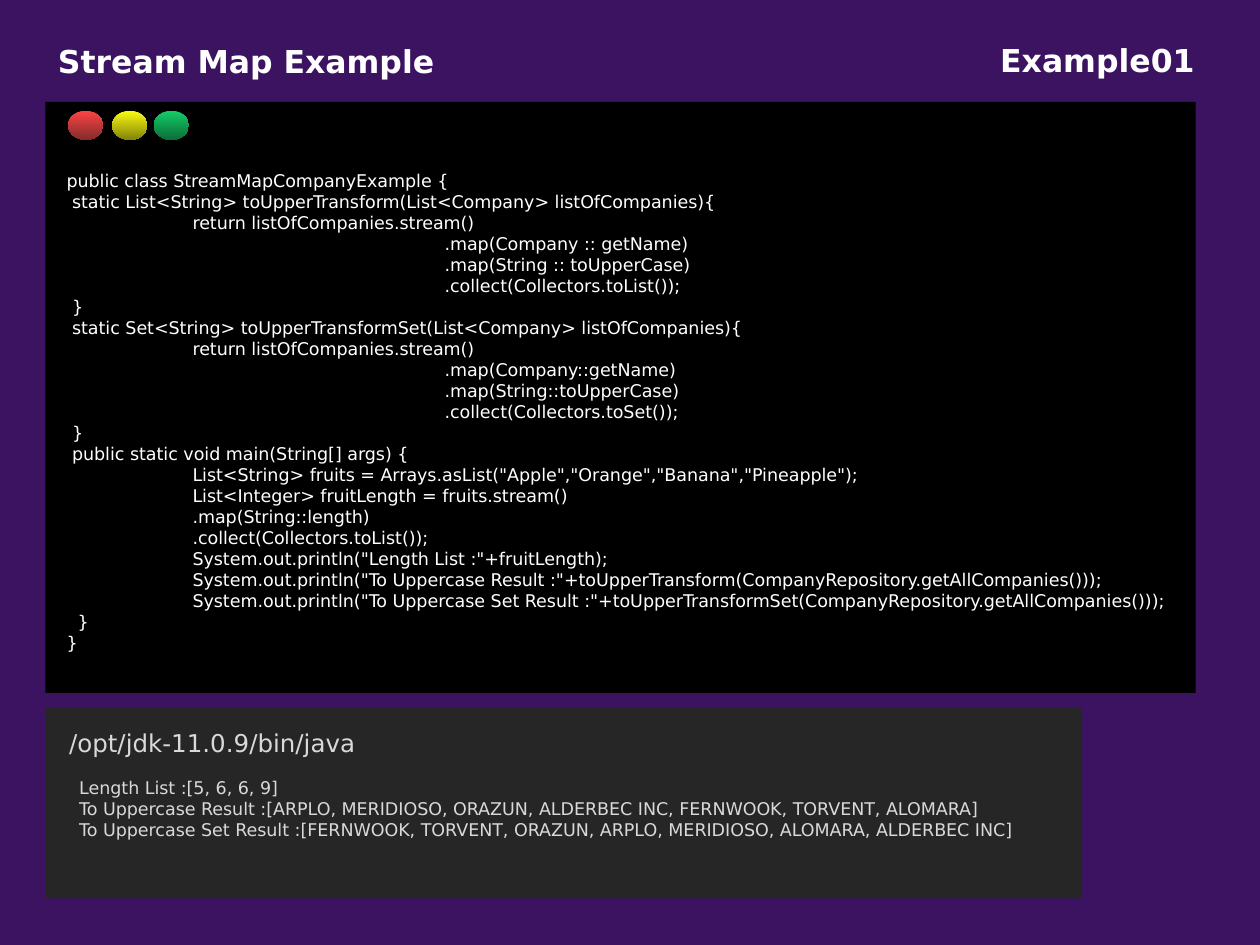
from dataclasses import dataclass

import pptx
import pptx.dml.color
import pptx.enum.shapes
import pptx.enum.text
import pptx.util

FONT = "DejaVu Sans"
WHITE, GREY = "FFFFFF", "D9D9D9"
SHAPE = pptx.enum.shapes.MSO_SHAPE
ALIGN = pptx.enum.text.PP_ALIGN
TAB = pptx.util.Inches(1)

prs = pptx.Presentation()
prs.slide_width, prs.slide_height = pptx.util.Inches(10), pptx.util.Inches(7.5)


@dataclass
class Box:
    """Place and size in percent of the slide's width and height."""
    x: float
    y: float
    w: float
    h: float

    def emu(self) -> tuple[int, ...]:
        shares = (self.x, self.y, self.w, self.h)
        sides = (prs.slide_width, prs.slide_height) * 2
        return tuple(round(side * share / 100) for share, side in zip(shares, sides))


@dataclass
class WindowButton:
    x: float
    top_color: str
    bottom_color: str


@dataclass
class Line:
    text: str
    tabs: int = 0


def rgb(value: str) -> pptx.dml.color.RGBColor:
    return pptx.dml.color.RGBColor.from_string(value)


def add_plain(shapes, kind, box: Box):
    sp = shapes.add_shape(kind, *box.emu())
    sp.shadow.inherit = False
    sp.line.fill.background()
    return sp


def add_panel(shapes, box: Box, color: str) -> None:
    sp = add_plain(shapes, SHAPE.RECTANGLE, box)
    sp.fill.solid()
    sp.fill.fore_color.rgb = rgb(color)


def add_button(shapes, button: WindowButton) -> None:
    sp = add_plain(shapes, SHAPE.OVAL, Box(button.x, 11.73, 2.8, 3.07))
    sp.fill.gradient()
    sp.fill.gradient_angle = 270
    for stop, color in zip(sp.fill.gradient_stops, (button.top_color, button.bottom_color)):
        stop.color.rgb = rgb(color)


def write(sp, lines: list[Line], size: int, color: str, bold=False, wrap=True,
          align=ALIGN.LEFT) -> None:
    tf = sp.text_frame
    frame_format = {
        "word_wrap": wrap,
        "auto_size": pptx.enum.text.MSO_AUTO_SIZE.SHAPE_TO_FIT_TEXT,
        "vertical_anchor": pptx.enum.text.MSO_ANCHOR.TOP,
    }
    for name, value in frame_format.items():
        setattr(tf, name, value)
    for i, line in enumerate(lines):
        p = tf.add_paragraph() if i else tf.paragraphs[0]
        p.alignment = align
        if line.tabs:
            p._p.get_or_add_pPr().set("marL", str(line.tabs * TAB))
        r = p.add_run()
        r.text = line.text
        font_format = {"name": FONT, "size": pptx.util.Pt(size), "bold": bold}
        for name, value in font_format.items():
            setattr(r.font, name, value)
        r.font.color.rgb = rgb(color)


def add_text(shapes, box: Box, lines: list[Line], size: int, color: str, **options) -> None:
    write(shapes.add_textbox(*box.emu()), lines, size, color, **options)


BUTTONS = [
    WindowButton(5.4, "FE4444", "832B2B"),
    WindowButton(8.9, "FBFB11", "838309"),
    WindowButton(12.2, "14CD68", "0B6E38"),
]
CODE = [
    Line("public class StreamMapCompanyExample {"),
    Line(" static List<String> toUpperTransform(List<Company> listOfCompanies){"),
    Line("return listOfCompanies.stream()", 1),
    Line(".map(Company :: getName)", 3),
    Line(".map(String :: toUpperCase)", 3),
    Line(".collect(Collectors.toList());", 3),
    Line(" }"),
    Line(" static Set<String> toUpperTransformSet(List<Company> listOfCompanies){"),
    Line("return listOfCompanies.stream()", 1),
    Line(".map(Company::getName)", 3),
    Line(".map(String::toUpperCase)", 3),
    Line(".collect(Collectors.toSet());", 3),
    Line(" }"),
    Line(" public static void main(String[] args) {"),
    Line('List<String> fruits = Arrays.asList("Apple","Orange","Banana","Pineapple");', 1),
    Line("List<Integer> fruitLength = fruits.stream()", 1),
    Line(".map(String::length)", 1),
    Line(".collect(Collectors.toList());", 1),
    Line('System.out.println("Length List :"+fruitLength);', 1),
    Line('System.out.println("To Uppercase Result :"'
         "+toUpperTransform(CompanyRepository.getAllCompanies()));", 1),
    Line('System.out.println("To Uppercase Set Result :"'
         "+toUpperTransformSet(CompanyRepository.getAllCompanies()));", 1),
    Line("  }"),
    Line("}"),
]
OUTPUT = [
    Line("Length List :[5, 6, 6, 9]"),
    Line("To Uppercase Result :[ARPLO, MERIDIOSO, ORAZUN, ALDERBEC INC, "
         "FERNWOOK, TORVENT, ALOMARA]"),
    Line("To Uppercase Set Result :[FERNWOOK, TORVENT, ORAZUN, ARPLO, "
         "MERIDIOSO, ALOMARA, ALDERBEC INC]"),
]


def main() -> None:
    s = prs.slides.add_slide(prs.slide_layouts[5])
    s.background.fill.solid()
    s.background.fill.fore_color.rgb = rgb("3C1361")

    title = s.shapes.title
    title.left, title.top, title.width, title.height = Box(3.6, 3.73, 31.9, 5.33).emu()
    write(title, [Line("Stream Map Example")], 18, WHITE, bold=True, wrap=False)

    editor = s.shapes.add_group_shape().shapes
    add_panel(editor, Box(3.6, 10.8, 91.3, 62.53), "000000")
    for button in BUTTONS:
        add_button(editor, button)
    add_text(s.shapes, Box(4.3, 17.3, 91.6, 55.2), CODE, 10, WHITE)
    add_text(s.shapes, Box(78.4, 3.73, 17.4, 5.33), [Line("Example01")], 18, WHITE,
             bold=True, wrap=False, align=ALIGN.CENTER)

    console = s.shapes.add_group_shape().shapes
    add_panel(console, Box(3.6, 74.93, 82.3, 20.13), "262626")
    add_text(console, Box(4.5, 76.4, 25, 4.53), [Line("/opt/jdk-11.0.9/bin/java")], 14, GREY)
    add_text(console, Box(5.3, 81.6, 77.8, 8), OUTPUT, 10, GREY)

    prs.save("out.pptx")


if __name__ == "__main__":
    main()
